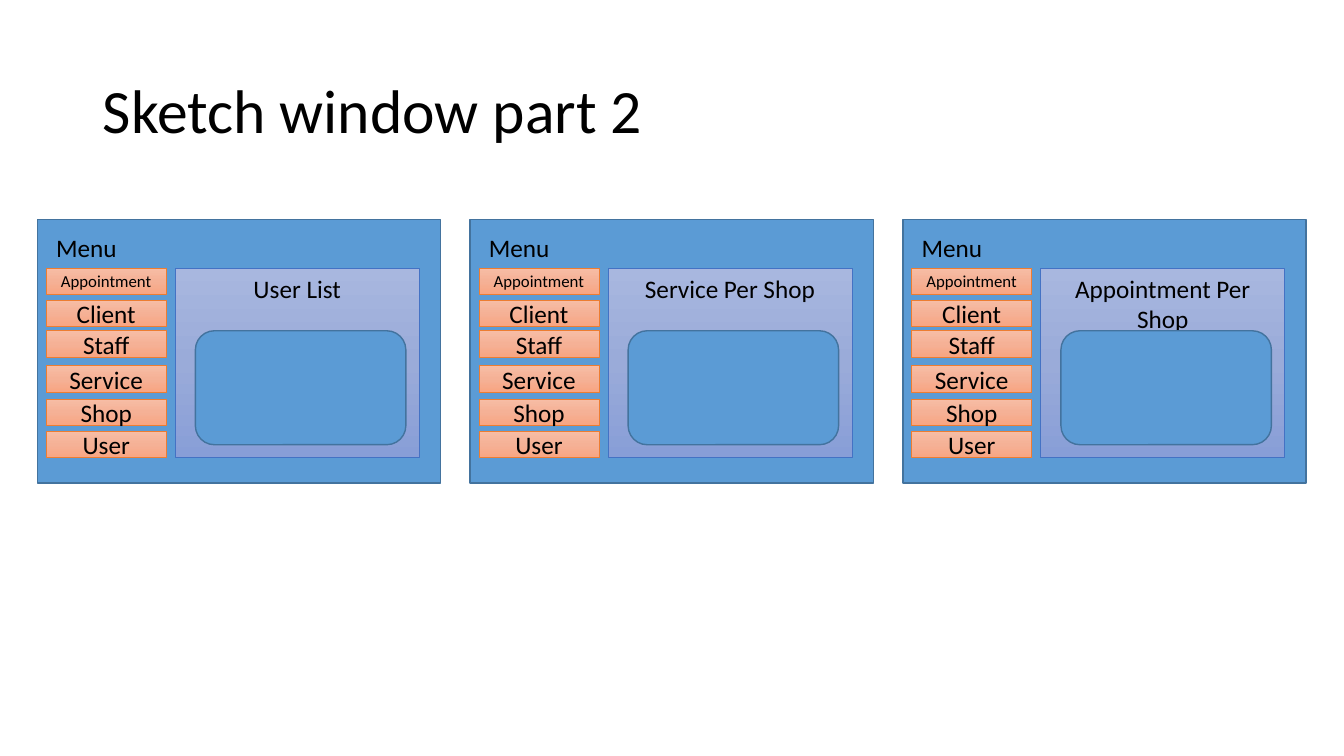
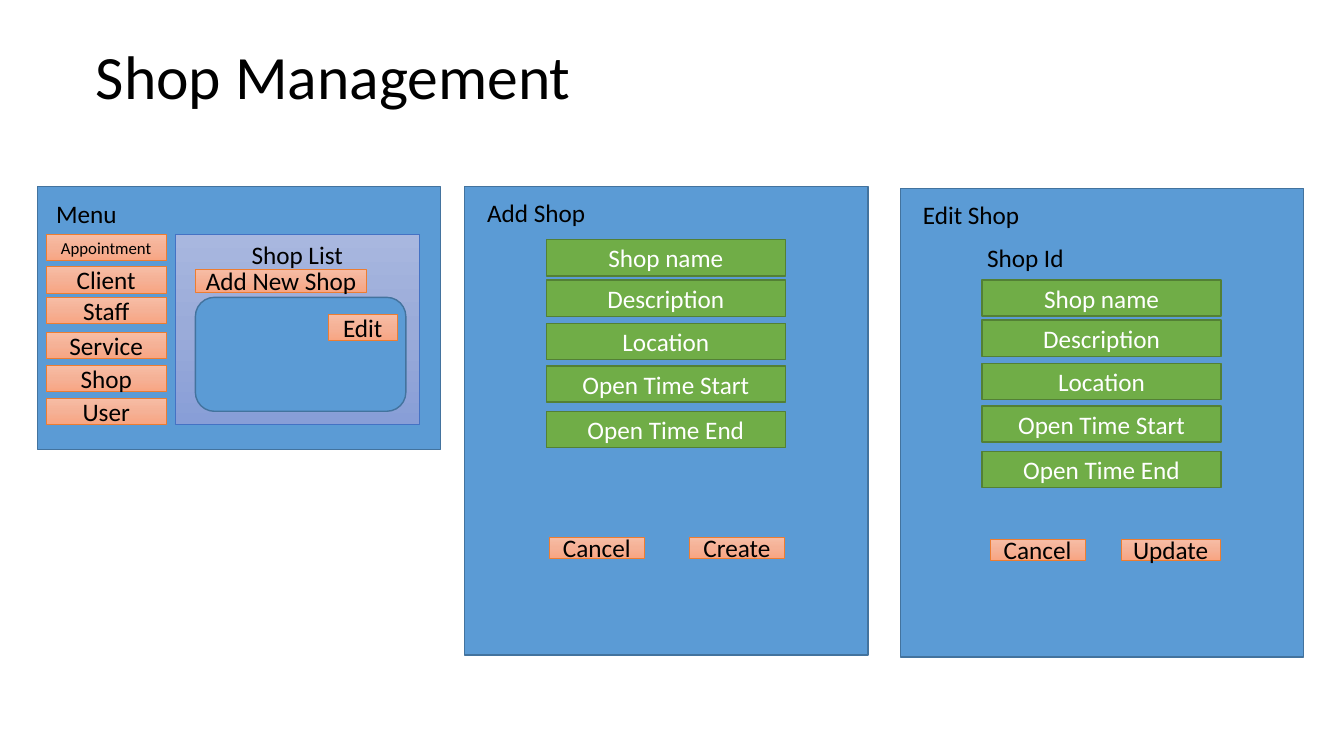
from copy import deepcopy
from dataclasses import dataclass

from pptx import Presentation
from pptx.dml.color import RGBColor
from pptx.enum.shapes import MSO_SHAPE
from pptx.enum.text import MSO_ANCHOR, MSO_AUTO_SIZE, PP_ALIGN
from pptx.oxml.ns import qn
from pptx.util import Inches, Pt

COLORS = {
    "window": "5B9BD5", "window_edge": "43739E",
    "field": "70AD47", "field_edge": "538035",
    "button_edge": "ED7D31", "panel_edge": "4472C4",
    "dark": "000000", "light": "FFFFFF",
    "button_top": "F7BDA5", "button_middle": "F5B196", "button_bottom": "F8A582",
    "panel_top": "A8B7DF", "panel_middle": "9AABD9", "panel_bottom": "889ED7",
}
BUTTON_FILL = ("button_top", "button_middle", "button_bottom")
PANEL_FILL = ("panel_top", "panel_middle", "panel_bottom")
FONT = "Calibri"
TITLE_SIZE, TEXT_SIZE, SMALL_SIZE = 44, 18, 12

MENU_ROWS = {"Appointment": 18.3, "Client": 30.5, "Staff": 42.2,
             "Service": 55.5, "Shop": 68.1, "User": 80.5}
FIELD_ROWS = {"Shop name": 11.4, "Description": 20, "Location": 29.2,
              "Open Time Start": 38.3, "Open Time End": 48}
WINDOW_LEFT, WINDOW_WIDTH, WINDOW_STEP = 2.78, 30, 32.2
MENU_HEIGHT, FORM_HEIGHT = 34.8, 62


@dataclass(frozen=True)
class Area:
    """A rectangle in inches."""
    left: float
    top: float
    width: float
    height: float

    def inner(self, left, top, width, height):
        """Return an inner area given in percent of this one."""
        return Area(self.left + self.width * left / 100,
                    self.top + self.height * top / 100,
                    self.width * width / 100, self.height * height / 100)

    def emu(self):
        """Return the four lengths for python-pptx."""
        return [Inches(n) for n in (self.left, self.top, self.width, self.height)]


SLIDE = Area(0, 0, 13.33, 7.5)


def rgb(name):
    """Look up a named colour."""
    return RGBColor.from_string(COLORS[name])


def write(frame, words, size=TEXT_SIZE, color="dark", align=PP_ALIGN.CENTER):
    """Write one formatted paragraph."""
    paragraph = frame.paragraphs[0]
    paragraph.text = words
    paragraph.alignment = align
    paragraph.font.name = FONT
    paragraph.font.size = Pt(size)
    paragraph.font.color.rgb = rgb(color)
    return paragraph


def fill_gradient(shape, names):
    """Fill a shape from top to bottom with three colours."""
    shape.fill.gradient()
    shape.fill.gradient_angle = 270
    stop_list = shape._element.spPr.find(".//" + qn("a:gsLst"))
    stop_list.append(deepcopy(stop_list[0]))
    for stop, name, position in zip(shape.fill.gradient_stops, names, (0, 0.5, 1)):
        stop.position = position
        stop.color.rgb = rgb(name)


def add_block(canvas, area, fill, edge, edge_width=1, kind=MSO_SHAPE.RECTANGLE):
    """Add a filled and outlined shape."""
    block = canvas.add_shape(kind, *area.emu())
    block.shadow.inherit = False
    if isinstance(fill, tuple):
        fill_gradient(block, fill)
    else:
        block.fill.solid()
        block.fill.fore_color.rgb = rgb(fill)
    block.line.color.rgb = rgb(edge)
    block.line.width = Pt(edge_width)
    block.text_frame.vertical_anchor = MSO_ANCHOR.MIDDLE
    return block


def add_button(canvas, area, words, size=TEXT_SIZE):
    """Add an orange button."""
    button = add_block(canvas, area, BUTTON_FILL, "button_edge", 0.5)
    write(button.text_frame, words, size)


def add_label(canvas, area, words):
    """Add an unwrapped text label."""
    frame = canvas.add_textbox(*area.emu()).text_frame
    frame.word_wrap = False
    frame.auto_size = MSO_AUTO_SIZE.SHAPE_TO_FIT_TEXT
    write(frame, words, align=PP_ALIGN.LEFT)


def add_title(slide, area, words):
    """Place and fill the slide title."""
    title = slide.shapes.title
    title.left, title.top, title.width, title.height = area.emu()
    frame = title.text_frame
    frame.auto_size = MSO_AUTO_SIZE.NONE
    frame.vertical_anchor = MSO_ANCHOR.MIDDLE
    write(frame, words, TITLE_SIZE, align=PP_ALIGN.LEFT).line_spacing = 0.9


def add_menu_window(canvas, window, heading):
    """Draw a window with the menu and a list panel."""
    add_block(canvas, window, "window", "window_edge")
    add_label(canvas, window.inner(2.2, 2.7, 20.2, 15.3), "Menu")
    for entry, top in MENU_ROWS.items():
        size = SMALL_SIZE if entry == "Appointment" else TEXT_SIZE
        add_button(canvas, window.inner(2.2, top, 29.75, 10), entry, size)
    panel = add_block(canvas, window.inner(34.2, 18.3, 60.5, 72),
                      PANEL_FILL, "panel_edge", 0.5)
    panel.text_frame.vertical_anchor = MSO_ANCHOR.TOP
    write(panel.text_frame, heading)
    add_block(canvas, window.inner(39.2, 42.2, 52.2, 43.3), "window", "window_edge",
              kind=MSO_SHAPE.FLOWCHART_ALTERNATE_PROCESS)


def add_form_window(canvas, window, heading, buttons, field_shift=0):
    """Draw a window with the shop fields and its buttons."""
    add_block(canvas, window, "window", "window_edge")
    add_label(canvas, window.inner(3.1, 1.3, 29.5, 8.6), heading)
    for entry, top in FIELD_ROWS.items():
        field = add_block(canvas, window.inner(20.25, top + field_shift, 59.25, 7.74),
                          "field", "field_edge")
        write(field.text_frame, entry, color="light")
    for words, left, width in buttons:
        add_button(canvas, window.inner(left, 74.8, width, 4.5), words)


def build_sketch(slide):
    """Build the three list windows."""
    add_title(slide, SLIDE.inner(6.9, 5.33, 86.25, 19.33), "Sketch window part 2")
    for column, heading in enumerate(("User List", "Service Per Shop",
                                      "Appointment Per Shop")):
        window = SLIDE.inner(WINDOW_LEFT + column * WINDOW_STEP, 29.07,
                             WINDOW_WIDTH, MENU_HEIGHT)
        add_menu_window(slide.shapes.add_group_shape().shapes, window, heading)


def build_shop(slide):
    """Build the shop list and its two forms."""
    canvas = slide.shapes
    add_title(slide, SLIDE.inner(6.38, 4.53, 86.25, 12), "Shop Management")
    menu = SLIDE.inner(WINDOW_LEFT, 24.65, WINDOW_WIDTH, MENU_HEIGHT)
    add_menu_window(canvas, menu, "Shop List")
    add_button(canvas, menu.inner(39.2, 31.4, 42.5, 8.8), "Add New Shop")
    add_button(canvas, menu.inner(72.2, 48.7, 17, 10), "Edit")
    add_form_window(canvas, SLIDE.inner(34.58, 24.65, WINDOW_WIDTH, FORM_HEIGHT),
                    "Add Shop", (("Cancel", 21, 23.5), ("Create", 55.75, 23.5)))
    edit = SLIDE.inner(67, 24.93, WINDOW_WIDTH, FORM_HEIGHT)
    add_form_window(canvas, edit, "Edit Shop",
                    (("Cancel", 22.25, 23.5), ("Update", 54.75, 24.5)), 8.1)
    add_label(canvas, edit.inner(19, 10.5, 24.25, 8.6), "Shop Id")


def main():
    """Build and save the presentation."""
    deck = Presentation()
    deck.slide_width, deck.slide_height = Inches(SLIDE.width), Inches(SLIDE.height)
    title_only = deck.slide_layouts[5]
    for build in (build_sketch, build_shop):
        build(deck.slides.add_slide(title_only))
    deck.save("out.pptx")


main()
